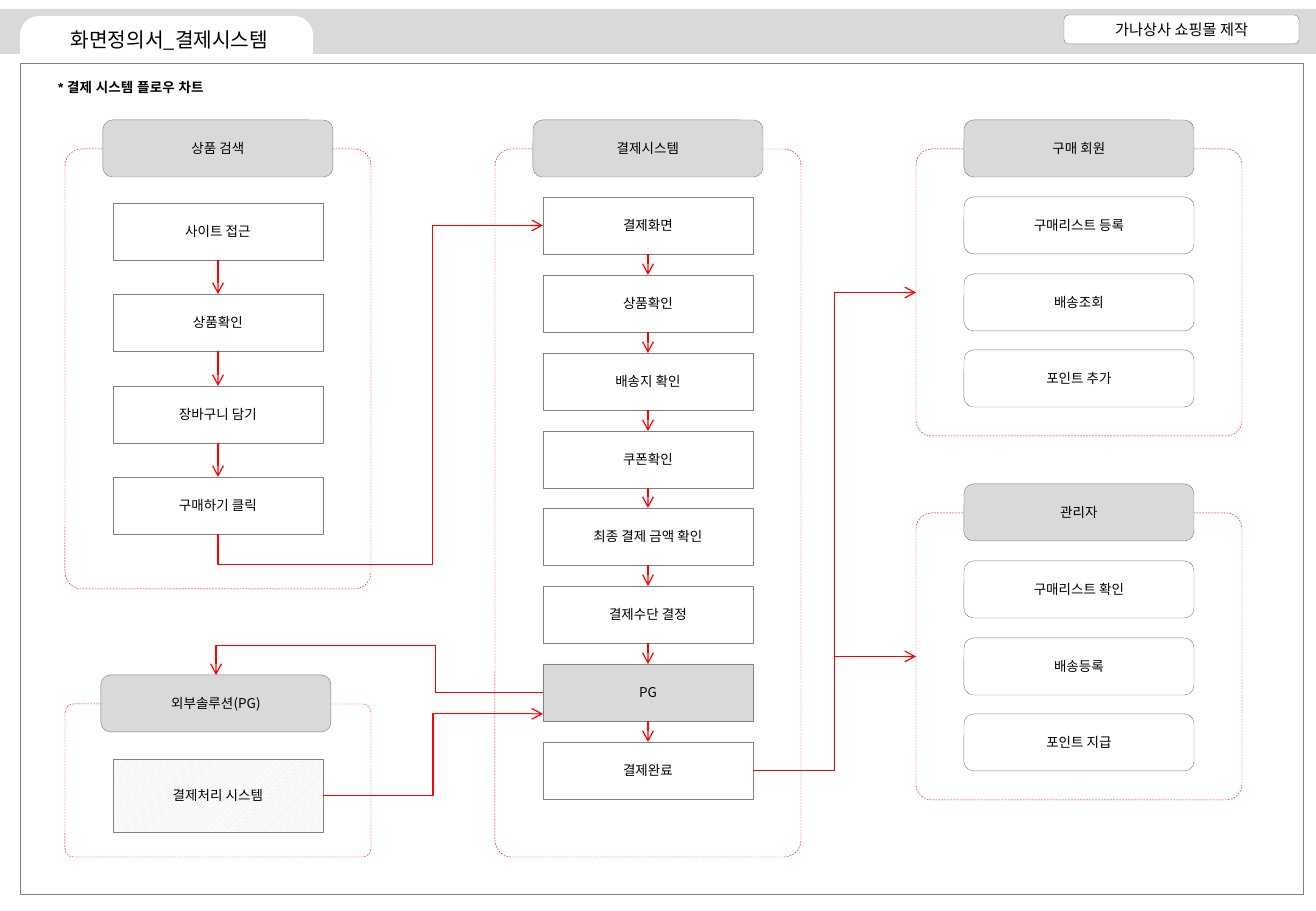
import pptx
import pptx.dml.color
import pptx.enum.dml
import pptx.enum.shapes
import pptx.enum.text
import pptx.oxml
import pptx.oxml.ns
import pptx.util

SHAPE = pptx.enum.shapes.MSO_SHAPE
CONNECTOR = pptx.enum.shapes.MSO_CONNECTOR
ALIGN = pptx.enum.text.PP_ALIGN
ANCHOR = pptx.enum.text.MSO_ANCHOR
qn = pptx.oxml.ns.qn

EMU_PER_PX = 914400 / 121.5
COLORS = {"black": "000000", "white": "FFFFFF", "gray": "D9D9D9",
          "line": "808080", "flow": "FF0000"}
FONT = "Noto Sans CJK KR"
TOP, LEFT, BOTTOM, RIGHT = range(4)  # connection sites


def px(n):
    return pptx.util.Emu(round(n * EMU_PER_PX))


def rgb(name):
    return pptx.dml.color.RGBColor.from_string(COLORS[name])


def sub(parent, tag, **attrs):
    el = pptx.oxml.parse_xml(f"<{tag} {pptx.oxml.ns.nsdecls('a')}/>")
    for key, value in attrs.items():
        el.set(key, str(value))
    parent.append(el)
    return el


def write(sp, text, size=8, font=FONT, color="black", bold=False,
          align=ALIGN.CENTER, anchor=ANCHOR.MIDDLE, wrap=True, margin=0):
    tf = sp.text_frame
    tf.word_wrap = wrap
    tf.vertical_anchor = anchor
    tf.margin_left = tf.margin_right = px(margin)
    tf.margin_top = tf.margin_bottom = px(margin / 2)
    p = tf.paragraphs[0]
    p.alignment = align
    r = p.add_run()
    r.text = text
    r.font.size = pptx.util.Pt(size)
    r.font.bold = bold
    r.font.color.rgb = rgb(color)
    r.font.name = font
    sub(r.font._element, "a:ea", typeface=font)


def site(sp, n):
    x = {LEFT: sp.left, RIGHT: sp.left + sp.width}.get(n, sp.left + sp.width // 2)
    y = {TOP: sp.top, BOTTOM: sp.top + sp.height}.get(n, sp.top + sp.height // 2)
    return x, y


class Deck:
    def __init__(self, width, height):
        self.prs = pptx.Presentation()
        self.prs.slide_width, self.prs.slide_height = px(width), px(height)
        self.s = self.prs.slides.add_slide(self.prs.slide_layouts[5])

    def title(self, x, y, w, h, text):
        sp = self.s.shapes.title
        sp.left, sp.top, sp.width, sp.height = map(px, (x, y, w, h))
        write(sp, text, size=12)

    def shape(self, kind, x, y, w, h, text=None, fill=None, line="line", adj=None,
              dash=False, hatch=False, **fmt):
        sp = self.s.shapes.add_shape(kind, *map(px, (x, y, w, h)))
        sp.shadow.inherit = False
        for i, value in enumerate(adj or []):
            sp.adjustments[i] = value
        if hatch:
            sp.fill.patterned()
            sp.fill.pattern = pptx.enum.dml.MSO_PATTERN.DARK_UPWARD_DIAGONAL
            sp.fill.fore_color.rgb, sp.fill.back_color.rgb = rgb("gray"), rgb("white")
        elif fill:
            sp.fill.solid()
            sp.fill.fore_color.rgb = rgb(fill)
        else:
            sp.fill.background()
        if line:
            sp.line.color.rgb = rgb(line)
            sp.line.width = pptx.util.Pt(0.25)
            if dash:
                sp.line.dash_style = pptx.enum.dml.MSO_LINE.DASH
        else:
            sp.line.fill.background()
        if text:
            write(sp, text, **fmt)
        return sp

    def panel(self, x, y, w, h, header, header_x):
        """Dashed group with its header straddling the top edge."""
        sp = self.shape(SHAPE.ROUNDED_RECTANGLE, x, y, w, h, line="flow",
                        adj=[0.055], dash=True)
        head = self.shape(SHAPE.ROUNDED_RECTANGLE, header_x, y - 29, 230, 57,
                          header, fill="gray")
        return sp, head

    def stack(self, kind, x, first, last, w, texts, fills=()):
        """Equally spaced boxes from the first top to the last top."""
        step = (last - first) / (len(texts) - 1)
        return [self.shape(kind, x, round(first + i * step), w, 57, text,
                           fill=dict(fills).get(text))
                for i, text in enumerate(texts)]

    def arrow(self, a, site_a, b, site_b=None, kind=CONNECTOR.ELBOW):
        """Arrow from a shape to a shape's site, or to a point in pixels."""
        end = map(px, b) if site_b is None else site(b, site_b)
        c = self.s.shapes.add_connector(kind, *site(a, site_a), *end)
        c.begin_connect(a, site_a)
        if site_b is not None:
            c.end_connect(b, site_b)
        c.line.color.rgb = rgb("flow")
        c.line.width = pptx.util.Pt(0.75)
        sp_pr = c._element.spPr
        sub(sp_pr.find(qn("a:ln")), "a:tailEnd", type="arrow")
        sub(sp_pr, "a:effectLst")
        return c

    def detour(self, a, site_a, b, site_b, turn, flip, adj):
        """Arrow with three bends; turn is in degrees."""
        c = self.arrow(a, site_a, b, site_b)
        if turn % 180:
            mid_x, mid_y = c.left + c.width // 2, c.top + c.height // 2
            c.width, c.height = c.height, c.width
            c.left, c.top = mid_x - c.width // 2, mid_y - c.height // 2
        xfrm = c._element.spPr.find(qn("a:xfrm"))
        xfrm.set("rot", str(turn * 60000))
        for key in ("flipH", "flipV"):
            xfrm.set(key, str(int(flip)))
        geom = c._element.spPr.find(qn("a:prstGeom"))
        geom.set("prst", "bentConnector4")
        guides = geom.find(qn("a:avLst"))
        for i, value in enumerate(adj, 1):
            sub(guides, "a:gd", name=f"adj{i}", fmla=f"val {round(value * 100000)}")

    def chain(self, boxes):
        for a, b in zip(boxes, boxes[1:]):
            self.arrow(a, BOTTOM, b, TOP, CONNECTOR.STRAIGHT)

    def label(self, x, y, w, h, text, **fmt):
        write(self.s.shapes.add_textbox(*map(px, (x, y, w, h))), text, **fmt)


deck = Deck(1316, 911)

# Page frame and heading
deck.shape(SHAPE.RECTANGLE, 0, 9, 1316, 45, fill="gray", line=None)
deck.shape(SHAPE.ROUND_2_SAME_RECTANGLE, 20, 16, 293, 38, fill="white", line=None,
           adj=[0.5, 0])
deck.shape(SHAPE.RECTANGLE, 20, 63, 1283, 831)
deck.shape(SHAPE.ROUNDED_RECTANGLE, 1064, 15, 235, 29, "가나상사 쇼핑몰 제작",
           fill="white", size=9)
title = deck.s.shapes.title._element
title.getparent().append(title)  # bring in front of the tab
deck.title(36, 25, 267, 29, "화면정의서_결제시스템")
deck.label(46, 73, 187, 29, "* 결제 시스템 플로우 차트", font="Arial", bold=True,
           align=ALIGN.LEFT, anchor=ANCHOR.TOP, wrap=False, margin=12)

# Panels
deck.panel(65, 149, 306, 440, "상품 검색", 103)
deck.panel(495, 149, 306, 708, "결제시스템", 533)
member, _ = deck.panel(916, 149, 326, 287, "구매 회원", 964)
admin, _ = deck.panel(916, 513, 326, 287, "관리자", 964)
_, external = deck.panel(65, 704, 306, 153, "외부솔루션(PG)", 101)

# Steps
search = deck.stack(SHAPE.RECTANGLE, 113, 203, 477, 210,
                    ["사이트 접근", "상품확인", "장바구니 담기", "구매하기 클릭"])
payment = deck.stack(SHAPE.RECTANGLE, 543, 197, 742, 210,
                     ["결제화면", "상품확인", "배송지 확인", "쿠폰확인",
                      "최종 결제 금액 확인", "결제수단 결정", "PG", "결제완료"],
                     fills={"PG": "gray"})
deck.stack(SHAPE.ROUNDED_RECTANGLE, 964, 197, 350, 230,
           ["구매리스트 등록", "배송조회", "포인트 추가"])
deck.stack(SHAPE.ROUNDED_RECTANGLE, 964, 561, 714, 230,
           ["구매리스트 확인", "배송등록", "포인트 지급"])
processing = deck.shape(SHAPE.RECTANGLE, 113, 759, 210, 73, "결제처리 시스템",
                        hatch=True)

# Flow
deck.chain(search)
deck.chain(payment)
pay_screen, pg, done = payment[0], payment[-2], payment[-1]
deck.detour(search[-1], BOTTOM, pay_screen, LEFT, 90, True, [-0.1, 0.66])
deck.detour(pg, LEFT, external, TOP, 180, False, [0.33, 2.67])
deck.arrow(processing, RIGHT, (543, 714))
for target in (member, admin):
    deck.arrow(done, RIGHT, target, LEFT)

deck.prs.save("out.pptx")
